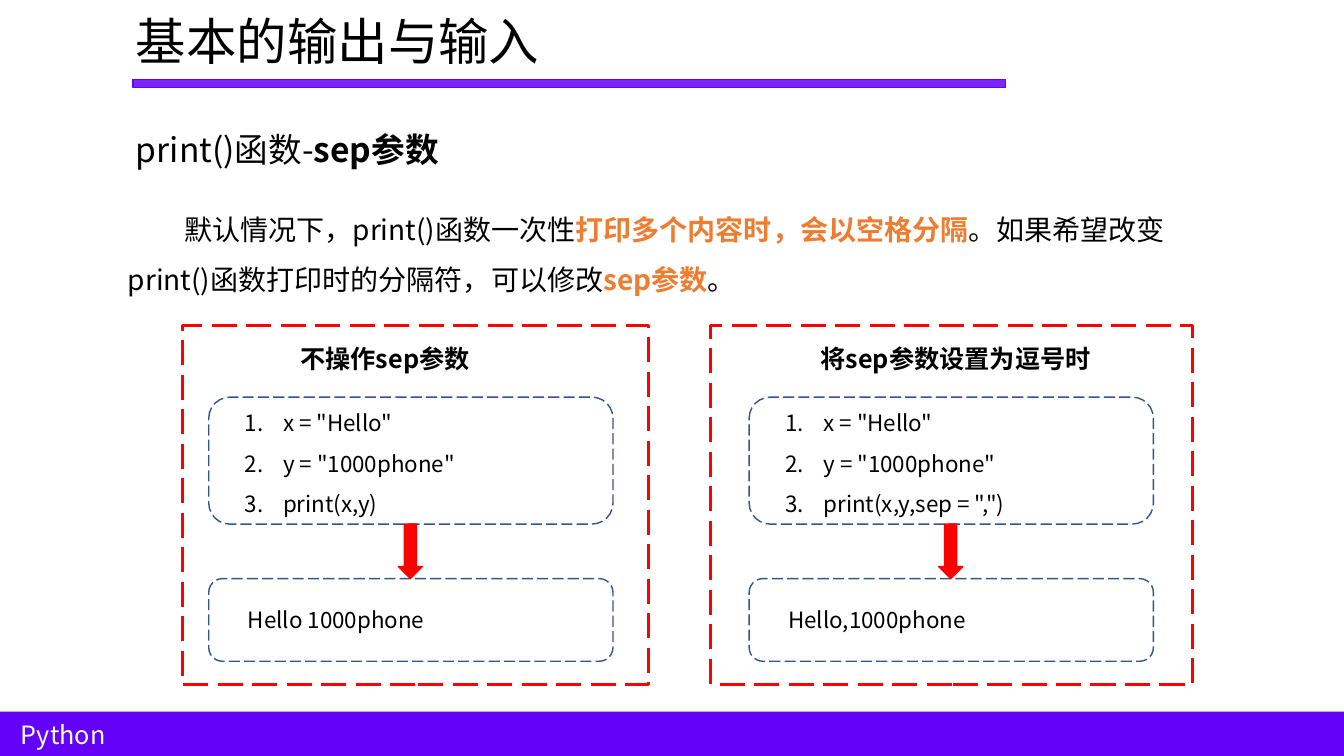
import lxml.etree
import pptx
import pptx.dml.color
import pptx.enum.dml
import pptx.enum.shapes
import pptx.oxml.ns
import pptx.util

PX = 9144  # EMU per px, 100 px to the inch
FONT = "Noto Sans CJK SC"
COLORS = {
    "purple": "6401F8",
    "white": "FFFFFF",
    "black": "000000",
    "orange": "ED7D31",
    "red": "FF0000",
    "navy": "325491",
}
SHAPES = pptx.enum.shapes.MSO_SHAPE
qn = pptx.oxml.ns.qn

presentation = pptx.Presentation()
presentation.slide_width = 1333 * PX
presentation.slide_height = 750 * PX
slide = presentation.slides.add_slide(presentation.slide_layouts[6])


def add_outlined(kind, bounds, fill, line, width, dashed=False):
    """Add a preset shape; fill and line are colour names, or None for none."""
    shape = slide.shapes.add_shape(kind, *(value * PX for value in bounds))
    shape.shadow.inherit = False
    if fill:
        shape.fill.solid()
        shape.fill.fore_color.rgb = pptx.dml.color.RGBColor.from_string(COLORS[fill])
    else:
        shape.fill.background()
    if line:
        shape.line.color.rgb = pptx.dml.color.RGBColor.from_string(COLORS[line])
        shape.line.width = pptx.util.Pt(width)
        if dashed:
            shape.line.dash_style = pptx.enum.dml.MSO_LINE.LONG_DASH
    else:
        shape.line.fill.background()
    return shape


def add_text(bounds, size, paragraphs, margin=0, indent=0, spacing=1.0, numbered=False):
    """Add a text box; each paragraph is a list of (text, colour, bold) runs."""
    box = slide.shapes.add_textbox(*(value * PX for value in bounds))
    text_frame = box.text_frame
    text_frame.word_wrap = True
    for index, runs in enumerate(paragraphs):
        paragraph = text_frame.add_paragraph() if index else text_frame.paragraphs[0]
        paragraph.line_spacing = spacing
        properties = paragraph._p.get_or_add_pPr()
        properties.set("marL", str(margin * PX))
        properties.set("indent", str(indent * PX))
        if numbered:
            lxml.etree.SubElement(properties, qn("a:buFont"), typeface="+mj-lt")
            lxml.etree.SubElement(properties, qn("a:buAutoNum"), type="arabicPeriod")
        for text, color, bold in runs:
            run = paragraph.add_run()
            run.text = text
            run.font.size = pptx.util.Pt(size)
            run.font.bold = bold
            run.font.color.rgb = pptx.dml.color.RGBColor.from_string(COLORS[color])
            run.font.name = FONT
            lxml.etree.SubElement(run.font._element, qn("a:ea"), typeface=FONT)


# Title bar and footer
title_bar = add_outlined(SHAPES.RECTANGLE, (132, 79, 865, 8), "purple", "purple", 1)
bar_color = title_bar.fill._xPr.find(qn("a:solidFill"))[0]
lxml.etree.SubElement(bar_color, qn("a:alpha"), val="85000")
add_outlined(SHAPES.RECTANGLE, (0, 706, 1333, 44), "purple", None, 0)
add_text((11, 709, 268, 41), 18, [[("Python", "white", False)]])

# Title, subtitle and explanation
add_text((125, 5, 442, 71), 36, [[("基本的输出与输入", "black", False)]])
add_text((125, 123, 483, 50), 24,
         [[("print()函数-", "black", False), ("sep参数", "black", True)]])
explanation = [
    ("默认情况下，print()函数一次性", "black", False),
    ("打印多个内容时，会以空格分隔", "orange", True),
    ("。如果希望改变print()函数打印时的分隔符，可以修改", "black", False),
    ("sep参数", "orange", True),
    ("。", "black", False),
]
add_text((117, 189, 1127, 111), 20, [explanation], indent=56, spacing=1.5)

# Two examples: code above, its output below
examples = [
    # panel left, panel width, heading left, content left, heading, print call, output
    (181, 462, 238, 207, "不操作sep参数", "print(x,y)", "Hello 1000phone"),
    (705, 478, 754, 743, "将sep参数设置为逗号时", 'print(x,y,sep = ",")', "Hello,1000phone"),
]
for panel_left, panel_width, heading_left, left, heading, call, output in examples:
    add_outlined(SHAPES.RECTANGLE, (panel_left, 323, panel_width, 356),
                 None, "red", 2.25, dashed=True)
    add_text((heading_left, 336, 359, 40), 18, [[(heading, "black", True)]], indent=50)
    code = ['x = "Hello"', 'y = "1000phone"', call]
    add_text((left + 26, 388, 356, 131), 16, [[(line, "black", False)] for line in code],
             margin=38, indent=-38, spacing=1.5, numbered=True)
    add_text((left, 596, 324, 37), 16, [[(output, "black", False)]], indent=29)
    for top, height in ((394, 126), (574, 82)):
        add_outlined(SHAPES.ROUNDED_RECTANGLE, (left, top, 401, height),
                     None, "navy", 1, dashed=True)
    add_outlined(SHAPES.DOWN_ARROW, (left + 188, 520, 24, 54), "red", "red", 1)

presentation.save("out.pptx")
